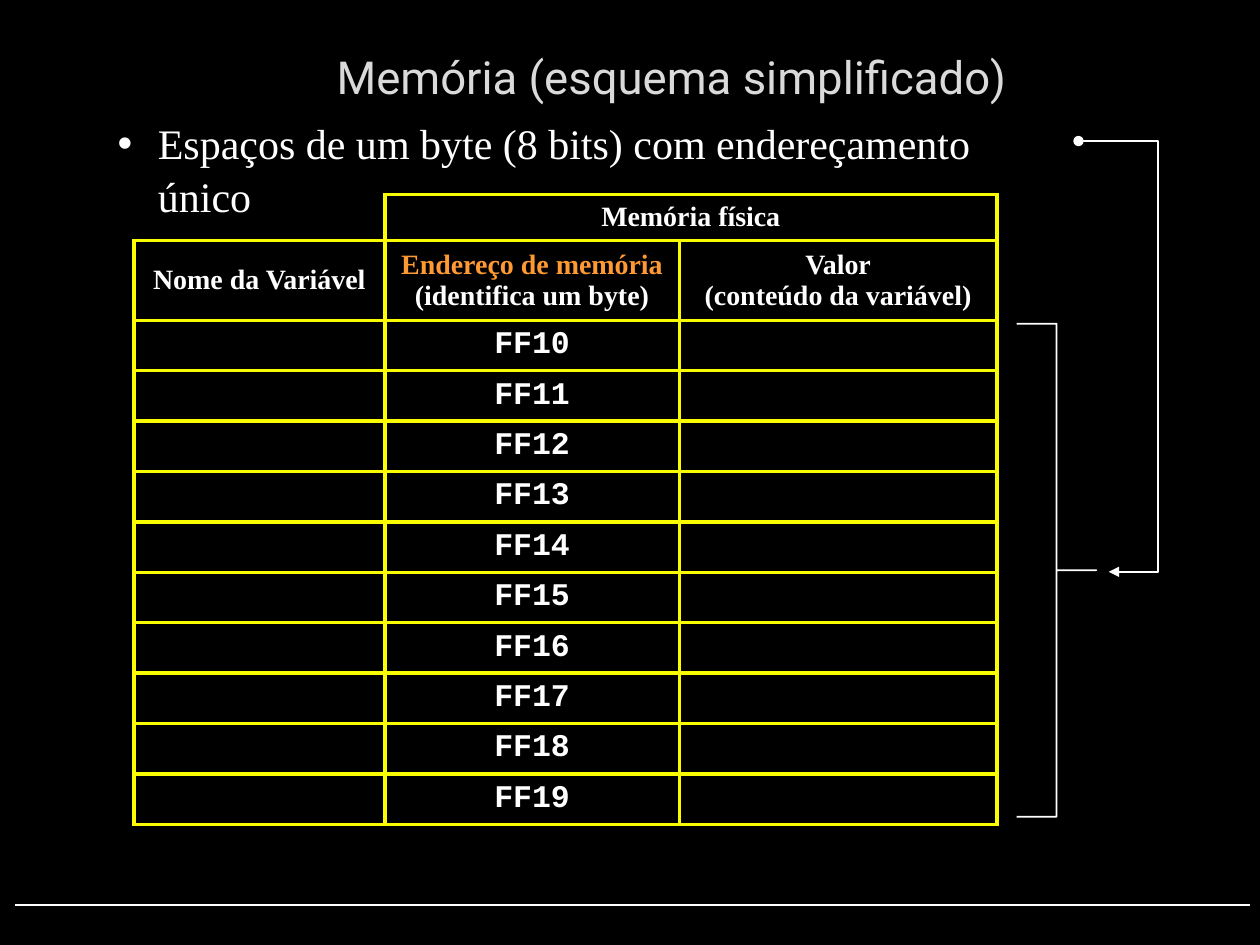
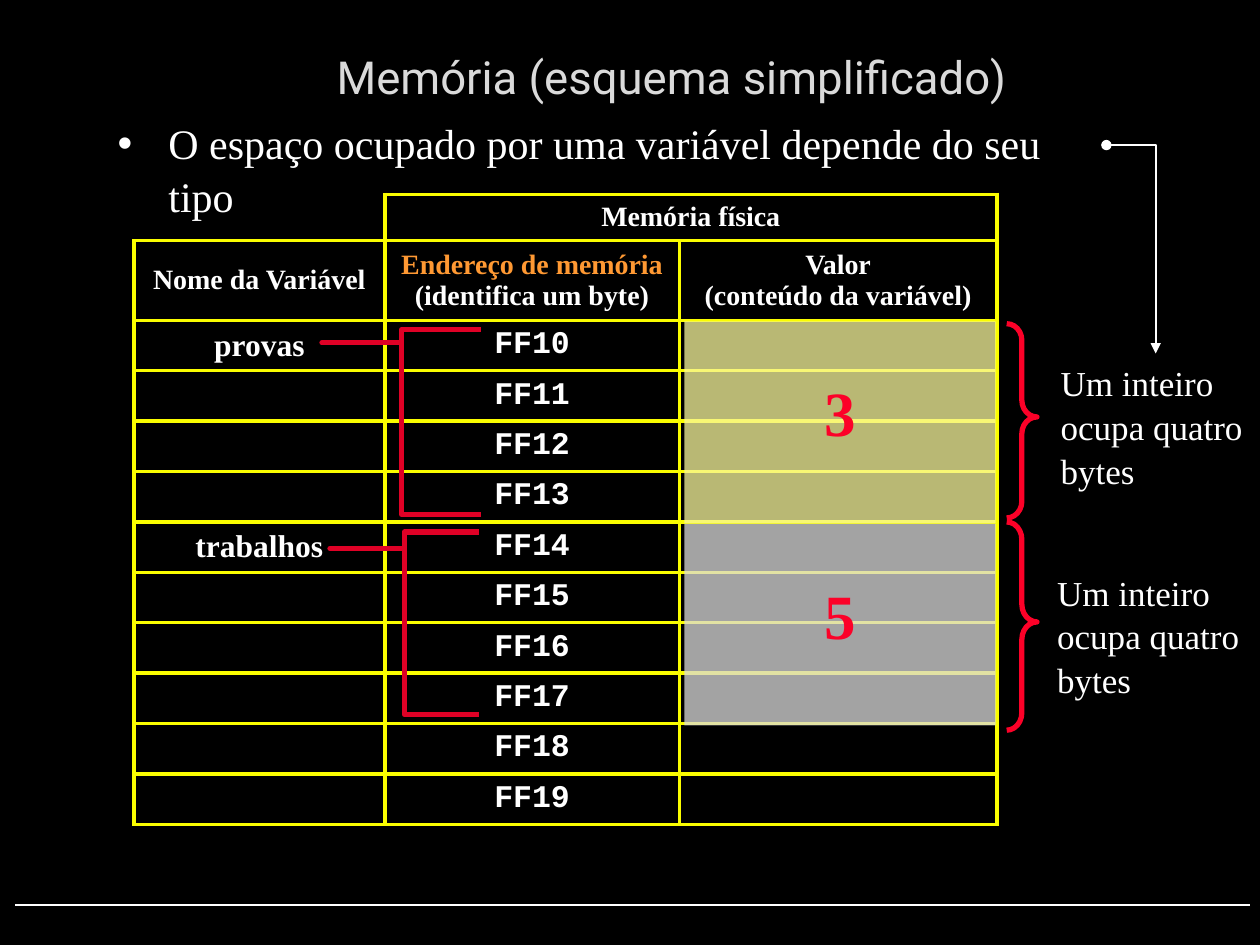
from lxml import etree
from pptx import Presentation
from pptx import util as u
from pptx.dml.color import RGBColor
from pptx.enum import shapes, text
from pptx.oxml import ns

Pt = u.Pt
COLOURS = {
    "background": "000000", "text": "FFFFFF", "title": "DADADA", "grid": "FAFD00",
    "highlight": "FF9933", "red": "FC0128", "dark_red": "DF0126",
    "yellow_block": "F8F69C", "grey_block": "DADADA",
}
SERIF = "Times New Roman"
MONO = "Courier New"
TITLE = "Memória (esquema simplificado)"
COLUMN_WIDTHS = [143.4, 168.3, 181.5]
ROW_HEIGHTS = [26.6, 45.4] + [28.8] * 10
ADDRESSES = [f"FF{number}" for number in range(10, 20)]
BYTES_PER_INTEGER = 4
NOTE_LINES = ["Um inteiro", "ocupa quatro", "bytes"]
ALIGN = text.PP_ALIGN
ANCHOR = text.MSO_ANCHOR


def rgb(name):
    return RGBColor.from_string(COLOURS[name])


def assign(target, values):
    for name, value in values.items():
        setattr(target, name, value)


def points(*lengths):
    return [Pt(length) for length in lengths]


def write(frame, lines, size, colours=("text",), font=SERIF, bold=False, **paragraph_format):
    for index, line in enumerate(lines):
        paragraph = frame.paragraphs[0] if index == 0 else frame.add_paragraph()
        assign(paragraph, {"space_before": Pt(0), **paragraph_format})
        run = paragraph.add_run()
        run.text = line
        assign(run.font, {"name": font, "size": Pt(size), "bold": bold})
        run.font.color.rgb = rgb(colours[min(index, len(colours) - 1)])


def place(shape, left, top, width, height):
    assign(shape, dict(zip(("left", "top", "width", "height"),
                           points(left, top, width, height))))


def style_line(shape, colour, width):
    shape.line.color.rgb = rgb(colour)
    shape.line.width = Pt(width)


def add_base_slide(presentation, bullet, width, indent):
    slide = presentation.slides.add_slide(presentation.slide_layouts[1])
    title, body = slide.placeholders
    place(title, 54, 15, 660, 57)
    assign(title.text_frame, {"vertical_anchor": ANCHOR.MIDDLE,
                              "auto_size": text.MSO_AUTO_SIZE.NONE})
    write(title.text_frame, [TITLE], 26, ["title"], "Roboto", alignment=ALIGN.CENTER)

    place(body, 60, 62.5, width, 65)
    assign(body.text_frame, {"vertical_anchor": ANCHOR.TOP, "word_wrap": True,
                             "auto_size": text.MSO_AUTO_SIZE.NONE})
    write(body.text_frame, [bullet], 24, line_spacing=1.04)
    properties = body.text_frame.paragraphs[0]._p.get_or_add_pPr()
    properties.set("marL", str(Pt(indent)))
    properties.set("indent", str(-Pt(indent)))

    footer = slide.shapes.add_connector(shapes.MSO_CONNECTOR.STRAIGHT,
                                        *points(8.6, 517, 714.2, 517))
    style_line(footer, "text", 1)
    etree.SubElement(footer._element.spPr, ns.qn("a:effectLst"))
    return slide


def set_borders(cell, hidden=""):
    properties = cell._tc.get_or_add_tcPr()
    for index, side in enumerate("LRTB"):
        border = etree.Element(ns.qn(f"a:ln{side}"), w=str(Pt(2.25)))
        if side in hidden:
            etree.SubElement(border, ns.qn("a:noFill"))
        else:
            fill = etree.SubElement(border, ns.qn("a:solidFill"))
            etree.SubElement(fill, ns.qn("a:srgbClr"), val=COLOURS["grid"])
        properties.insert(index, border)


def add_memory_table(slide, variables):
    frame = slide.shapes.add_table(len(ROW_HEIGHTS), len(COLUMN_WIDTHS),
                                   *points(76.5, 111, sum(COLUMN_WIDTHS), sum(ROW_HEIGHTS)))
    table = frame.table
    assign(table, {"first_row": False, "horz_banding": False})
    for column, width in zip(table.columns, COLUMN_WIDTHS):
        column.width = Pt(width)
    for row, height in zip(table.rows, ROW_HEIGHTS):
        row.height = Pt(height)
    for cell in table.iter_cells():
        cell.fill.background()
        assign(cell, {"margin_top": 0, "margin_bottom": 0, "vertical_anchor": ANCHOR.MIDDLE})
        set_borders(cell, "LT" if cell is None or cell._tc is table.cell(0, 0)._tc else "")
    table.cell(0, 1).merge(table.cell(0, 2))

    def fill_cell(row, column, lines, size=16, **formats):
        write(table.cell(row, column).text_frame, lines, size, bold=True,
              alignment=ALIGN.CENTER, **formats)

    fill_cell(0, 1, ["Memória física"])
    fill_cell(1, 0, ["Nome da Variável"])
    fill_cell(1, 1, ["Endereço de memória", "(identifica um byte)"],
              colours=["highlight", "text"])
    fill_cell(1, 2, ["Valor", "(conteúdo da variável)"])
    for row, address in enumerate(ADDRESSES, start=2):
        fill_cell(row, 1, [address], 18, font=MONO)
    for index, variable in enumerate(variables):
        fill_cell(2 + index * BYTES_PER_INTEGER, 0, [variable], 18)


def add_brace(slide, kind, box, adjustments, colour, width):
    brace = slide.shapes.add_shape(kind, *points(*box))
    brace.shadow.inherit = False
    brace.fill.background()
    style_line(brace, colour, width)
    for index, value in enumerate(adjustments):
        brace.adjustments[index] = value


def add_elbow_arrow(slide, *corners):
    start, *others = [points(*corner) for corner in corners]
    builder = slide.shapes.build_freeform(*start)
    builder.add_line_segments(others, close=False)
    arrow = builder.convert_to_shape()
    arrow.shadow.inherit = False
    arrow.fill.background()
    style_line(arrow, "text", 1)
    line = arrow.line._get_or_add_ln()
    etree.SubElement(line, ns.qn("a:headEnd"), type="oval")
    etree.SubElement(line, ns.qn("a:tailEnd"), type="triangle")


def add_value_block(slide, top, value, colour):
    block = slide.shapes.add_shape(shapes.MSO_SHAPE.RECTANGLE, *points(391, top, 178, 115.2))
    block.shadow.inherit = False
    block.fill.solid()
    block.fill.fore_color.rgb = rgb(colour)
    colour_element = block._element.spPr.find(f".//{ns.qn('a:srgbClr')}")
    etree.SubElement(colour_element, ns.qn("a:alpha"), val="75000")
    block.line.fill.background()
    assign(block.text_frame, {"margin_top": Pt(30), "vertical_anchor": ANCHOR.TOP})
    write(block.text_frame, [value], 36, ["red"], bold=True, alignment=ALIGN.CENTER)


def add_note(slide, left, top):
    frame = slide.shapes.add_textbox(*points(left, top, 118, 79)).text_frame
    assign(frame, {"word_wrap": True, "margin_right": 0})
    write(frame, NOTE_LINES, 20, line_spacing=1.04)


def build_address_slide(presentation):
    slide = add_base_slide(presentation,
                           "Espaços de um byte (8 bits) com endereçamento único", 552, 23)
    add_memory_table(slide, [])
    add_brace(slide, shapes.MSO_SHAPE.RIGHT_BRACE, (581, 185, 45.5, 281.7), (0, 0.5), "text", 1)
    add_elbow_arrow(slide, (616.3, 80.6), (661.7, 80.6), (661.7, 326.8), (633.6, 326.8))


def build_integer_slide(presentation):
    slide = add_base_slide(presentation,
                           "O espaço ocupado por uma variável depende do seu tipo", 576, 29)
    add_memory_table(slide, ["provas", "trabalhos"])
    integers = [
        ("3", "yellow_block", 183.6, (575.3, 185, 17.3, 111), (0.55, 0.48),
         (184, 188.5, 91, 105.5), (0, 0.07), (599, 202.3)),
        ("5", "grey_block", 299.3, (575.3, 298.3, 17.3, 119), (0.58, 0.48),
         (188.6, 304, 85, 104.4), (0, 0.09), (597, 322)),
    ]
    for value, colour, top, right, right_bend, left, left_bend, note in integers:
        add_value_block(slide, top, value, colour)
        add_brace(slide, shapes.MSO_SHAPE.RIGHT_BRACE, right, right_bend, "red", 3)
        add_brace(slide, shapes.MSO_SHAPE.LEFT_BRACE, left, left_bend, "dark_red", 3)
        add_note(slide, *note)
    add_elbow_arrow(slide, (632.2, 82.9), (660.4, 82.9), (660.4, 202))


def main():
    presentation = Presentation()
    assign(presentation, {"slide_width": Pt(720), "slide_height": Pt(540)})
    background = presentation.slide_master.background.fill
    background.solid()
    background.fore_color.rgb = rgb("background")
    build_address_slide(presentation)
    build_integer_slide(presentation)
    presentation.save("out.pptx")


if __name__ == "__main__":
    main()
